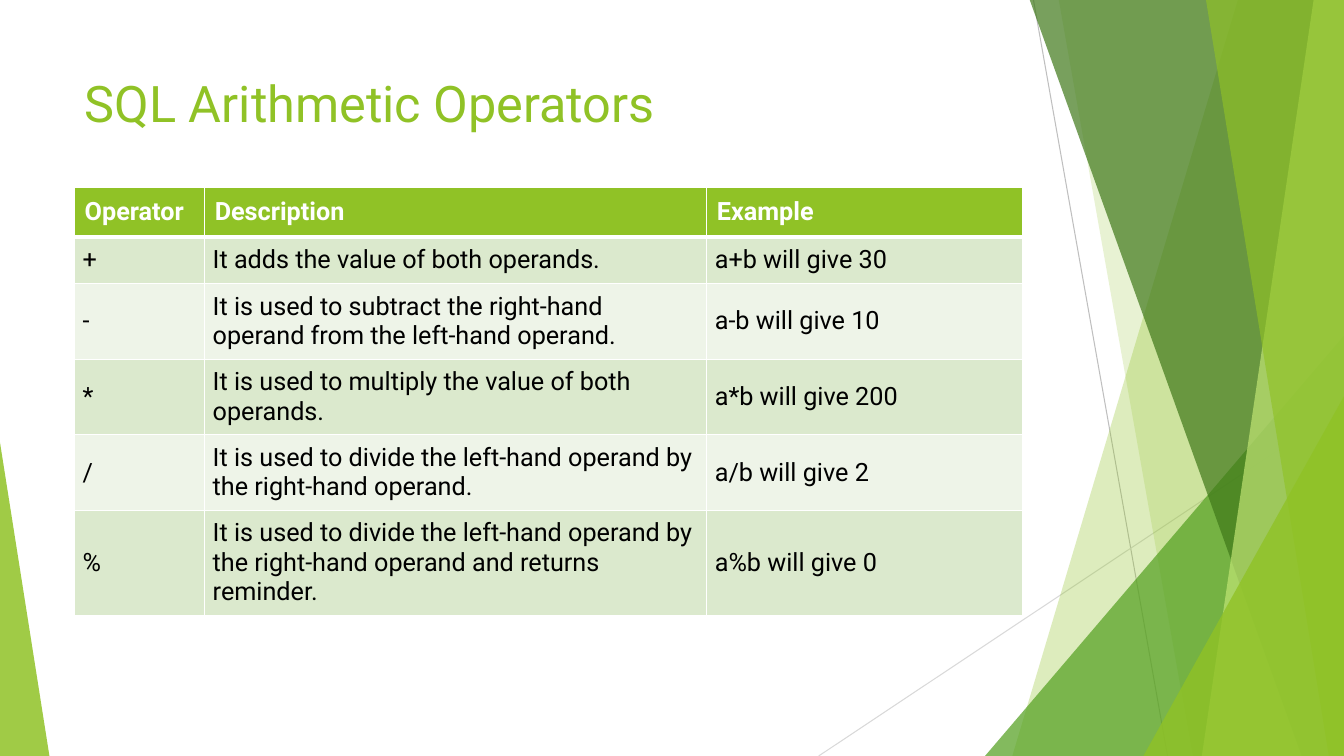
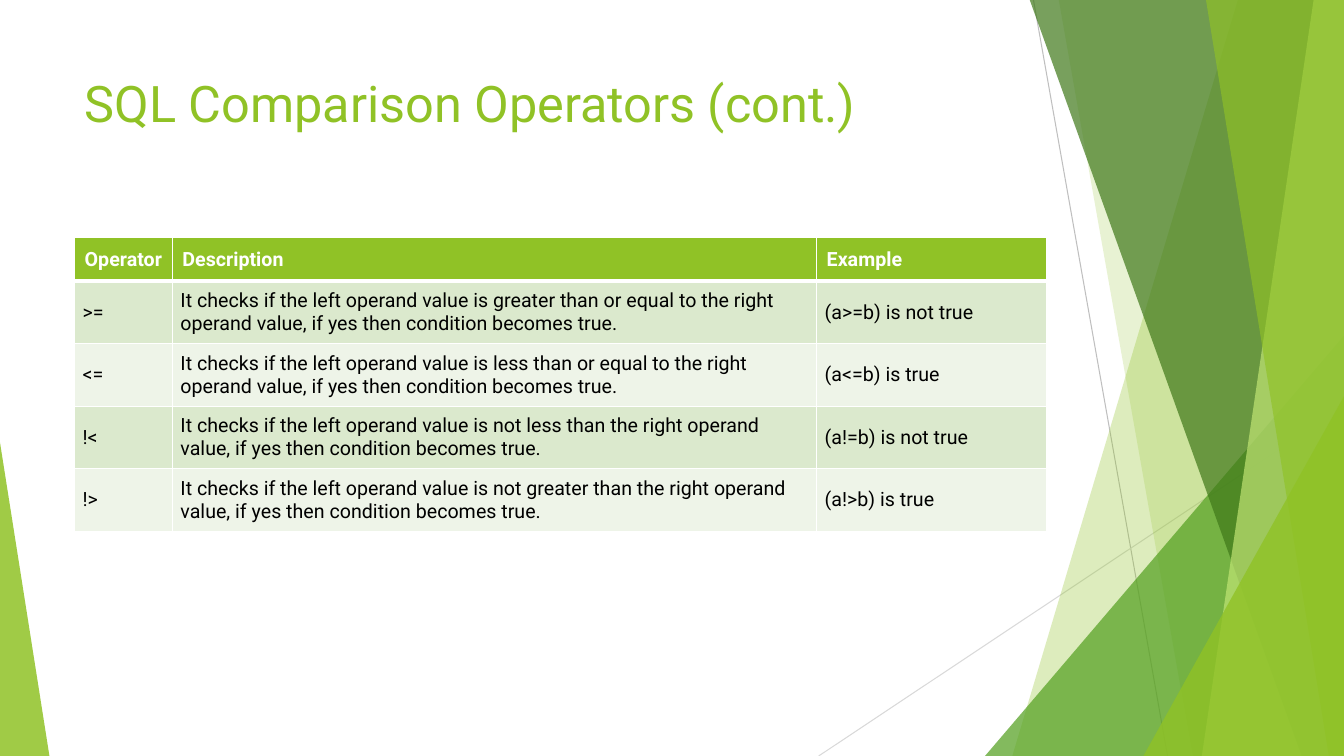
from lxml import etree
from pptx import Presentation
from pptx.dml.color import RGBColor
from pptx.enum.shapes import MSO_CONNECTOR, MSO_SHAPE
from pptx.enum.text import MSO_ANCHOR, PP_ALIGN
from pptx.oxml.ns import qn
from pptx.util import Inches, Pt

STRAIGHT = MSO_CONNECTOR.STRAIGHT
TRIANGLE = MSO_SHAPE.ISOSCELES_TRIANGLE
TOP, MIDDLE = MSO_ANCHOR.TOP, MSO_ANCHOR.MIDDLE
LEFT = PP_ALIGN.LEFT

WIDTH, HEIGHT = 13.33, 7.5
FONT = "Roboto"
GREEN, LEAF, FOREST, LIME = "90C226", "54A021", "3F7819", "C0E474"
WHITE, BLACK = "FFFFFF", "000000"
BANDS = ("DBE9CD", "EEF4E8")
TITLE_BOX = (0.74, 0.67, 9.4, 1.44)
HEADINGS = ("Operator", "Description", "Example")

RAYS = [((10.25, 0), (11.58, HEIGHT), "BFBFBF"),
        ((WIDTH, 4.03), (8.12, HEIGHT), "D9D9D9")]
PANELS = [("band", (12.28, 10.04), GREEN, 30),
          ("band", (10.5, 11.83), GREEN, 20),
          ("triangle", (9.77, 3.33, 3.56, 4.17, 1), LEAF, 72),
          ("band", (10.21, 12.91), FOREST, 70),
          ("band", (13.03, 11.92), LIME, 70),
          ("band", (11.96, 13.18), GREEN, 65),
          ("triangle", (11.34, 3.93, 1.99, 3.57, 1), GREEN, 80),
          ("triangle", (0, 4.39, 0.49, 3.11, 0), GREEN, 85)]

SLIDES = [
    {"title": "SQL Arithmetic Operators",
     "origin": (0.74, 1.86), "size": 18,
     "cols": (1.29, 4.98, 3.13),
     "heights": (0.49, 0.46, 0.75, 0.75, 0.75, 1.04),
     "rows": [
         ("+", "It adds the value of both operands.", "a+b will give 30"),
         ("-", "It is used to subtract the right-hand operand from the "
               "left-hand operand.", "a-b will give 10"),
         ("*", "It is used to multiply the value of both operands.",
          "a*b will give 200"),
         ("/", "It is used to divide the left-hand operand by the "
               "right-hand operand.", "a/b will give 2"),
         ("%", "It is used to divide the left-hand operand by the "
               "right-hand operand and returns reminder.",
          "a%b will give 0")]},
    {"title": "SQL Comparison Operators (cont.)",
     "origin": (0.74, 2.36), "size": 14,
     "cols": (0.97, 6.39, 2.28),
     "heights": (0.43, 0.62, 0.62, 0.62, 0.62),
     "rows": [
         (sign, f"It checks if the left operand value is {relation} the right "
                "operand value, if yes then condition becomes true.", example)
         for sign, relation, example in (
             (">=", "greater than or equal to", "(a>=b) is not true"),
             ("<=", "less than or equal to", "(a<=b) is true"),
             ("!<", "not less than", "(a!=b) is not true"),
             ("!>", "not greater than", "(a!>b) is true"))]},
]


def rgb(value):
    """Return the colour for a hex string."""
    return RGBColor.from_string(value)


def set_attrs(obj, values):
    """Set each attribute named in a dict."""
    for name, value in values.items():
        setattr(obj, name, value)


def write(tf, text, size, color, bold=False):
    """Write one formatted run into a text frame."""
    p = tf.paragraphs[0]
    p.alignment = LEFT
    r = p.add_run()
    r.text = text
    set_attrs(r.font, {"name": FONT, "size": Pt(size), "bold": bold})
    r.font.color.rgb = rgb(color)


def add_ray(shapes, start, end, color):
    """Draw a thin line across the backdrop."""
    line = shapes.add_connector(STRAIGHT, *map(Inches, start + end))
    line.line.color.rgb = rgb(color)
    line.line.width = Pt(0.75)
    etree.SubElement(line.element.spPr, qn("a:effectLst"))


def add_band(shapes, top_x, bottom_x):
    """Outline a slanted band that reaches the right edge."""
    points = [(WIDTH, -0.01), (WIDTH, HEIGHT), (bottom_x, HEIGHT)]
    outline = shapes.build_freeform(Inches(top_x), Inches(-0.01))
    outline.add_line_segments([(Inches(x), Inches(y)) for x, y in points])
    return outline.convert_to_shape()


def add_triangle(shapes, x, y, w, h, apex):
    """Add a triangle with its apex at a share of its width."""
    sp = shapes.add_shape(TRIANGLE, *map(Inches, (x, y, w, h)))
    sp.adjustments[0] = apex
    return sp


def fill_panel(sp, color, opacity):
    """Give a panel a see-through fill without line or shadow."""
    sp.shadow.inherit = False
    sp.line.fill.background()
    sp.fill.solid()
    sp.fill.fore_color.rgb = rgb(color)
    clr = sp.element.spPr.find(f"{qn('a:solidFill')}/{qn('a:srgbClr')}")
    etree.SubElement(clr, qn("a:alpha"), val=str(opacity * 1000))


def add_backdrop(slide, layout):
    """Build the green backdrop and place it behind the layout's title."""
    for sp in list(layout.placeholders)[1:]:
        layout.shapes.element.remove(sp.element)
    group = slide.shapes.add_group_shape()
    for ray in RAYS:
        add_ray(group.shapes, *ray)
    makers = {"band": add_band, "triangle": add_triangle}
    for kind, geometry, color, opacity in PANELS:
        fill_panel(makers[kind](group.shapes, *geometry), color, opacity)
    layout.shapes.element.insert(2, group.element)


def add_title(slide, text, box):
    """Place and format the slide title."""
    sp = slide.shapes.title
    set_attrs(sp, dict(zip(("left", "top", "width", "height"),
                           map(Inches, box))))
    set_attrs(sp.text_frame, {"word_wrap": True, "vertical_anchor": TOP})
    write(sp.text_frame, text, 36, GREEN)


def add_borders(cell, widths):
    """Draw white borders with a width in points for each side."""
    tc_pr = cell._tc.get_or_add_tcPr()
    for side, width in widths.items():
        ln = etree.SubElement(tc_pr, qn(f"a:ln{side}"), w=str(Pt(width)))
        fill = etree.SubElement(ln, qn("a:solidFill"))
        etree.SubElement(fill, qn("a:srgbClr"), val=WHITE)


def format_cell(cell, text, row, size):
    """Fill a cell as a heading or as part of a banded row."""
    header = row == 0
    margin = Inches(0.1 if header else 0.08)
    set_attrs(cell, {f"margin_{side}": margin
                     for side in ("left", "right", "top", "bottom")})
    cell.vertical_anchor = TOP if header else MIDDLE
    add_borders(cell, {"L": 1, "R": 1, "T": 3 if row == 1 else 1,
                       "B": 3 if header else 1})
    cell.fill.solid()
    cell.fill.fore_color.rgb = rgb(GREEN if header else BANDS[(row - 1) % 2])
    write(cell.text_frame, text, size, WHITE if header else BLACK, header)


def add_operator_table(slide, origin, cols, heights, rows, size):
    """Add the table of operators at its top left corner."""
    box = (*origin, sum(cols), sum(heights))
    table = slide.shapes.add_table(len(heights), len(cols),
                                   *map(Inches, box)).table
    table.horz_banding = False
    for col, width in zip(table.columns, cols):
        col.width = Inches(width)
    for row, height in zip(table.rows, heights):
        row.height = Inches(height)
    for i, texts in enumerate([HEADINGS, *rows]):
        for j, text in enumerate(texts):
            format_cell(table.cell(i, j), text, i, size)


def main():
    """Build and save the presentation."""
    prs = Presentation()
    prs.slide_width, prs.slide_height = Inches(WIDTH), Inches(HEIGHT)
    layout = prs.slide_layouts[5]
    for i, content in enumerate(SLIDES):
        slide = prs.slides.add_slide(layout)
        if i == 0:
            add_backdrop(slide, layout)
        add_title(slide, content["title"], TITLE_BOX)
        add_operator_table(slide, content["origin"], content["cols"],
                           content["heights"], content["rows"],
                           content["size"])
    prs.save("out.pptx")


if __name__ == "__main__":
    main()
